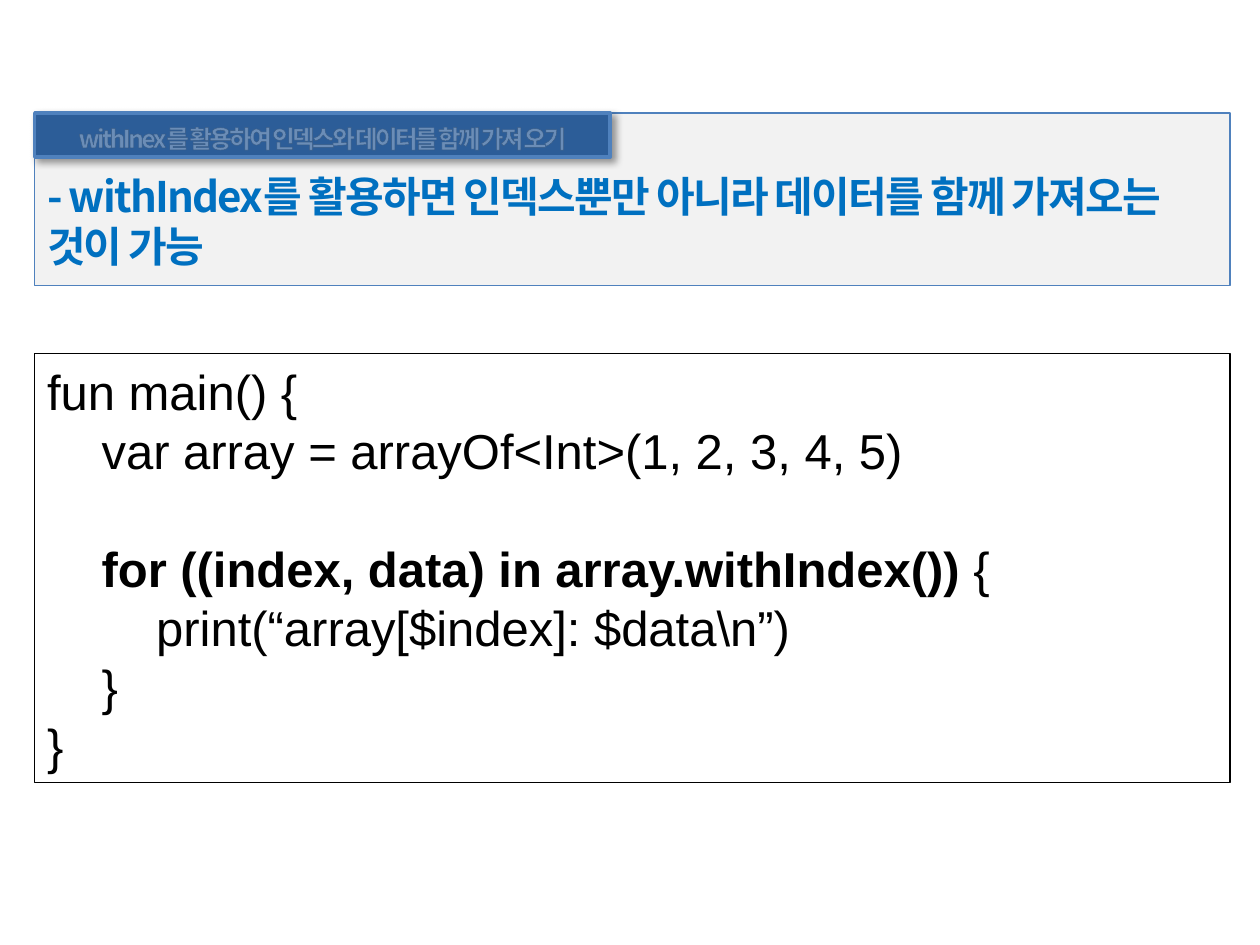
from dataclasses import dataclass

from lxml import etree
from pptx import Presentation
from pptx import util as u
from pptx.dml import color
from pptx.enum import shapes, text
from pptx.oxml import ns

KOREAN = "Noto Sans CJK KR"
CODE_FONT = "Arial"
LEFT, WIDTH = 0.7, 24.1
TAB_CM = 1.1


@dataclass
class Box:
    top: float
    width: float
    height: float
    fill: str
    line: str
    weight: float
    anchor: text.MSO_ANCHOR


@dataclass
class Style:
    size: float
    font: str
    color: str
    bold: bool = False
    spacing: float = 0
    outline: str = ""


@dataclass
class CodeLine:
    level: int
    plain: str
    strong: str = ""
    gap: float = 0


def rgb(value: str) -> color.RGBColor:
    return color.RGBColor.from_string(value)


def add_color(parent, value: str, alpha: int) -> None:
    clr = etree.SubElement(parent, ns.qn("a:srgbClr"), val=value)
    etree.SubElement(clr, ns.qn("a:alpha"), val=str(alpha * 1000))


def add_box(parent, box: Box):
    sp = parent.add_shape(shapes.MSO_SHAPE.RECTANGLE, u.Cm(LEFT), u.Cm(box.top),
                          u.Cm(box.width), u.Cm(box.height))
    sp.shadow.inherit = False
    sp.fill.solid()
    sp.fill.fore_color.rgb = rgb(box.fill)
    sp.line.color.rgb = rgb(box.line)
    sp.line.width = u.Pt(box.weight)
    sp.text_frame.word_wrap = True
    sp.text_frame.vertical_anchor = box.anchor
    return sp


def add_shadow(sp) -> None:
    effects = sp._element.spPr.find(ns.qn("a:effectLst"))
    shadow = etree.SubElement(effects, ns.qn("a:outerShdw"), blurRad=str(u.Pt(4)),
                              dist=str(u.Pt(3)), dir="2700000", algn="tl", rotWithShape="0")
    add_color(shadow, "000000", 40)


def format_run(r, style: Style) -> None:
    r.font.size = u.Pt(style.size)
    r.font.name = style.font
    r.font.bold = style.bold
    r.font.color.rgb = rgb(style.color)
    props = r._r.get_or_add_rPr()
    etree.SubElement(props, ns.qn("a:ea"), typeface=style.font)
    if style.spacing:
        props.set("spc", str(int(style.spacing * 100)))
    if style.outline:
        ln = etree.Element(ns.qn("a:ln"), w=str(u.Pt(0.75)))
        add_color(etree.SubElement(ln, ns.qn("a:solidFill")), style.outline, 30)
        props.insert(0, ln)


def set_text(tf, words: str, style: Style, align: text.PP_ALIGN):
    tf.text = words
    p = tf.paragraphs[0]
    p.alignment = align
    format_run(p.runs[0], style)
    return p


def write_code(tf, lines: list[CodeLine]) -> None:
    for i, line in enumerate(lines):
        p = tf.add_paragraph() if i else tf.paragraphs[0]
        p.alignment = text.PP_ALIGN.LEFT
        p.space_before = u.Pt(line.gap)
        p._p.get_or_add_pPr().set("marL", str(u.Cm(line.level * TAB_CM)))
        for words, bold in ((line.strong, True), (line.plain, False)):
            if words:
                r = p.add_run()
                r.text = words
                format_run(r, Style(28, CODE_FONT, "000000", bold))


def main() -> None:
    prs = Presentation()
    prs.slide_width, prs.slide_height = u.Cm(25.4), u.Cm(19.05)
    s = prs.slides.add_slide(prs.slide_layouts[6])

    code = add_box(s.shapes, Box(7.13, WIDTH, 8.64, "FFFFFF", "000000", 0.75,
                                 text.MSO_ANCHOR.MIDDLE))
    write_code(code.text_frame, [
        CodeLine(0, "fun main() {"),
        CodeLine(1, "var array = arrayOf<Int>(1, 2, 3, 4, 5)"),
        CodeLine(1, " {", "for ((index, data) in array.withIndex())", gap=34),
        CodeLine(2, "print(“array[$index]: $data\\n”)"),
        CodeLine(1, "}"),
        CodeLine(0, "}"),
    ])

    summary = s.shapes.add_group_shape().shapes
    panel = add_box(summary, Box(2.28, WIDTH, 3.48, "F2F2F2", "4F81BD", 0.75,
                                 text.MSO_ANCHOR.TOP))
    panel.text_frame.margin_top = u.Cm(1.15)
    set_text(panel.text_frame,
             "- withIndex를 활용하면 인덱스뿐만 아니라 데이터를 함께 가져오는 것이 가능",
             Style(24, KOREAN, "0070C0", True, -1, "0070C0"), text.PP_ALIGN.LEFT)

    label = add_box(summary, Box(2.28, 11.6, 0.89, "2C5D98", "4F81BD", 2,
                                 text.MSO_ANCHOR.MIDDLE))
    add_shadow(label)
    label.text_frame.word_wrap = False
    p = set_text(label.text_frame, "withInex를 활용하여 인덱스와 데이터를 함께 가져 오기",
                 Style(14, KOREAN, "FFFFFF", True, -1.5, "595959"), text.PP_ALIGN.CENTER)
    p.line_spacing = 1.2

    prs.save("out.pptx")


if __name__ == "__main__":
    main()
